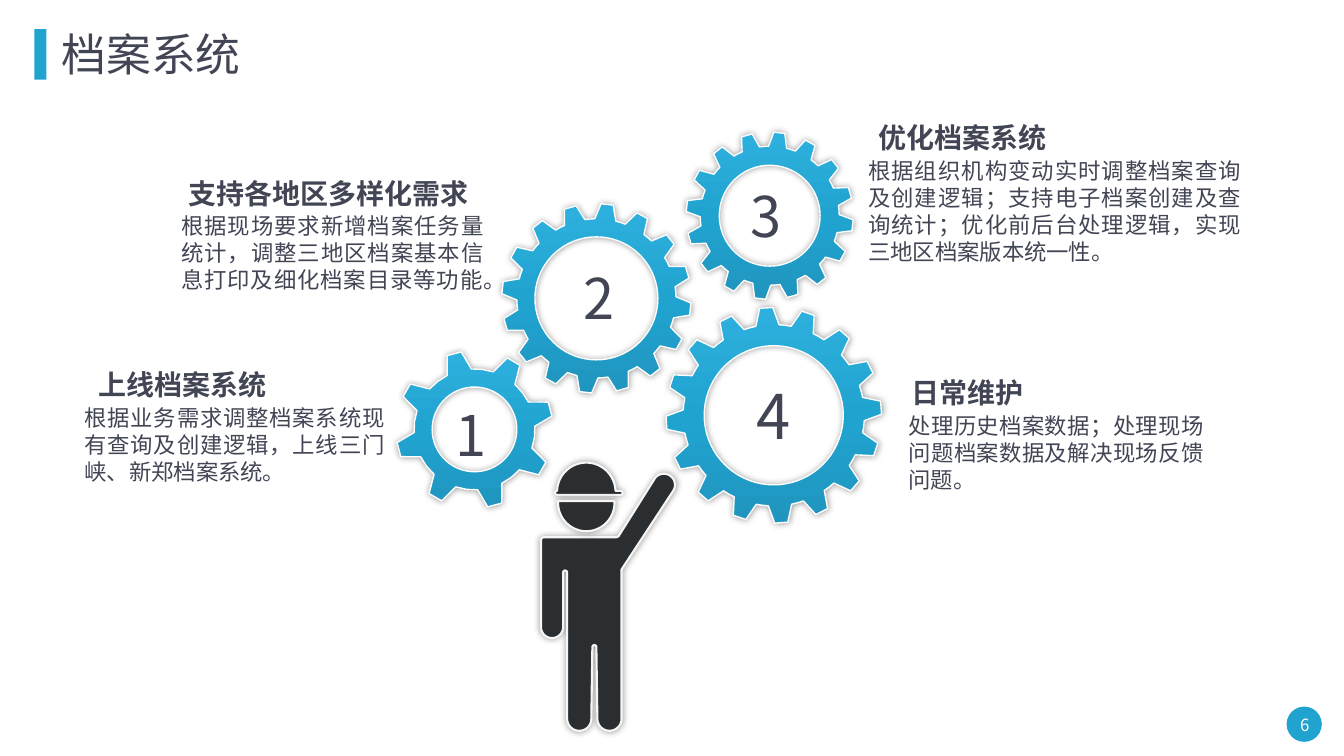
import copy
import math
from dataclasses import dataclass

from lxml import etree
from pptx import Presentation
from pptx.dml.color import RGBColor
from pptx.enum import shapes, text
from pptx.oxml import ns
from pptx.util import Inches, Pt

FONT = "Noto Sans CJK SC"
WHITE = RGBColor(0xFF, 0xFF, 0xFF)
BLUE = RGBColor(0x21, 0xA3, 0xD0)
DARK_BLUE = RGBColor(0x1F, 0x95, 0xBF)
LIGHT_BLUE = RGBColor(0x2E, 0xB0, 0xDE)
INK = RGBColor(0x42, 0x45, 0x54)
CHARCOAL = RGBColor(0x2B, 0x2E, 0x30)
OFF_WHITE = RGBColor(0xF6, 0xF6, 0xF6)

Point = tuple[float, float]
Box = tuple[float, float, float, float]


@dataclass
class Gear:
    center: Point
    tip_radius: float
    root_radius: float
    hole_radius: float
    teeth: int
    first_angle: float
    tip_half: float
    root_half: float
    number: str
    number_box: Box
    number_size: int = 40


@dataclass
class Topic:
    heading: str
    heading_box: Box
    body: str
    body_box: Box
    heading_wraps: bool = True


GEARS = [
    Gear((7.68, 4.12), 1.07, 0.9, 0.69, 16, -4, 3.5, 7.4, "4", (7.28, 3.7, 0.79, 0.84), 44),
    Gear((5.92, 2.96), 0.94, 0.79, 0.61, 16, 6.5, 3.7, 7.7, "2", (5.55, 2.57, 0.79, 0.77)),
    Gear((7.64, 2.14), 0.83, 0.69, 0.5, 16, 6.6, 3.8, 7.5, "3", (7.21, 1.75, 0.79, 0.77)),
    Gear((4.71, 4.26), 0.78, 0.6, 0.42, 8, -15, 5.3, 12, "1", (4.28, 3.92, 0.79, 0.77)),
]

TOPICS = [
    Topic("上线档案系统", (0.88, 3.6, 1.87, 0.44),
          "根据业务需求调整档案系统现有查询及创建逻辑，上线三门峡、新郑档案系统。",
          (0.74, 3.96, 3.18, 0.91), False),
    Topic("日常维护", (8.95, 3.68, 2.23, 0.44),
          "处理历史档案数据；处理现场问题档案数据及解决现场反馈问题。",
          (8.92, 4.04, 3.13, 0.91)),
    Topic("优化档案系统", (8.62, 1.15, 2.61, 0.44),
          "根据组织机构变动实时调整档案查询及创建逻辑；支持电子档案创建及查询统计；"
          "优化前后台处理逻辑，实现三地区档案版本统一性。",
          (8.52, 1.51, 3.9, 1.18)),
    Topic("支持各地区多样化需求", (1.77, 1.7, 2.98, 0.44),
          "根据现场要求新增档案任务量统计，调整三地区档案基本信息打印及细化档案目录等功能。",
          (1.7, 2.06, 3.2, 0.91), False),
]


def polar(center: Point, radius: float, degrees: float) -> Point:
    angle = math.radians(degrees)
    return center[0] + radius * math.cos(angle), center[1] + radius * math.sin(angle)


def arc(center: Point, radius: float, start: float, end: float) -> list[Point]:
    steps = max(2, round(abs(end - start) / 5))
    return [polar(center, radius, start + (end - start) * i / steps) for i in range(steps + 1)]


def add_outline(slide, contours: list[list[Point]]):
    emu = [[(Inches(x), Inches(y)) for x, y in contour] for contour in contours]
    builder = slide.shapes.build_freeform(*emu[0][0])
    builder.add_line_segments(emu[0][1:])
    for contour in emu[1:]:
        builder.move_to(*contour[0])
        builder.add_line_segments(contour[1:])
    return builder.convert_to_shape()


def add_edge(shape, color: RGBColor, width: float) -> None:
    shape.line.color.rgb = color
    shape.line.width = Pt(width)
    shape.shadow.inherit = False
    effects = shape._element.spPr.find(ns.qn("a:effectLst"))
    glow = etree.SubElement(effects, ns.qn("a:outerShdw"), blurRad=str(Pt(5)), dist="0", dir="0",
                            algn="ctr", rotWithShape="0")
    tint = etree.SubElement(glow, ns.qn("a:srgbClr"), val="000000")
    etree.SubElement(tint, ns.qn("a:alpha"), val="40000")


def add_gear(slide, gear: Gear) -> None:
    pitch = 360 / gear.teeth
    rim = []
    for tooth in range(gear.teeth):
        angle = gear.first_angle + tooth * pitch
        rim += [
            polar(gear.center, gear.root_radius, angle - gear.root_half),
            polar(gear.center, gear.tip_radius, angle - gear.tip_half),
            polar(gear.center, gear.tip_radius, angle + gear.tip_half),
            polar(gear.center, gear.root_radius, angle + gear.root_half),
            polar(gear.center, gear.root_radius, angle + pitch / 2),
        ]
    wheel = add_outline(slide, [rim, arc(gear.center, gear.hole_radius, 360, 0)])
    wheel.fill.gradient()
    wheel.fill.gradient_angle = 90
    stops = wheel._element.spPr.find(".//" + ns.qn("a:gsLst"))
    stops.append(copy.deepcopy(stops[-1]))
    shades = [(0, DARK_BLUE), (0.48, BLUE), (1, LIGHT_BLUE)]
    for stop, (position, color) in zip(wheel.fill.gradient_stops, shades):
        stop.position = position
        stop.color.rgb = color
    add_edge(wheel, WHITE, 1)


def add_worker(slide) -> None:
    helmet = (arc((5.82, 4.88), 0.29, 182, 358) + arc((6.16, 4.89), 0.02, 270, 450)
              + arc((5.53, 4.89), 0.02, 90, 270))
    body = ([(6.12, 5.33), (6.14, 5.32)]
            + arc((6.59, 4.81), 0.11, 211, 394)
            + [(6.17, 5.65)]
            + arc((6.05, 7.13), 0.12, 0, 180)
            + arc((5.9, 6.42), 0.02, 360, 180)
            + arc((5.75, 7.13), 0.12, 0, 180)
            + arc((5.61, 5.68), 0.02, 360, 180)
            + arc((5.48, 6.22), 0.11, 0, 180)
            + [(5.37, 5.35), (5.39, 5.33)])
    face = arc((5.82, 4.99), 0.28, -4, 184)
    parts = []
    for outline in (helmet, body, face):
        part = add_outline(slide, [outline])
        part.fill.solid()
        part.fill.fore_color.rgb = CHARCOAL
        add_edge(part, OFF_WHITE, 1.5)
        parts.append(part)
    slide.shapes.add_group_shape(parts)


def add_text(slide, wording: str, box: Box, size: int, color: RGBColor = INK, bold: bool = False,
             align=text.PP_ALIGN.LEFT, wrap: bool = True, inset: bool = True) -> None:
    frame = slide.shapes.add_textbox(*map(Inches, box)).text_frame
    frame.word_wrap = wrap
    frame.auto_size = text.MSO_AUTO_SIZE.SHAPE_TO_FIT_TEXT
    if not inset:
        frame.margin_left = frame.margin_right = frame.margin_top = frame.margin_bottom = 0
    frame.text = wording
    paragraph = frame.paragraphs[0]
    paragraph.alignment = align
    font = paragraph.runs[0].font
    font.size = Pt(size)
    font.bold = bold
    font.color.rgb = color
    font.name = FONT
    etree.SubElement(paragraph.runs[0]._r.rPr, ns.qn("a:ea"), typeface=FONT)


def add_block(slide, preset, box: Box) -> None:
    block = slide.shapes.add_shape(preset, *map(Inches, box))
    block.fill.solid()
    block.fill.fore_color.rgb = BLUE
    block.line.fill.background()
    block.shadow.inherit = False


def main() -> None:
    deck = Presentation()
    deck.slide_width = Inches(13.34)
    deck.slide_height = Inches(7.5)
    slide = deck.slides.add_slide(deck.slide_layouts[6])
    add_block(slide, shapes.MSO_SHAPE.OVAL, (12.77, 7.01, 0.35, 0.35))
    add_text(slide, "6", (12.74, 7.04, 0.42, 0.3), 12, WHITE,
             align=text.PP_ALIGN.CENTER, wrap=False)
    add_text(slide, "档案系统", (0.61, 0.27, 6.92, 0.54), 32, inset=False)
    add_block(slide, shapes.MSO_SHAPE.RECTANGLE, (0.34, 0.29, 0.12, 0.5))
    for topic in TOPICS:
        add_text(slide, topic.heading, topic.heading_box, 20, bold=True, wrap=topic.heading_wraps)
        add_text(slide, topic.body, topic.body_box, 16, align=text.PP_ALIGN.JUSTIFY)
    for gear in GEARS:
        add_gear(slide, gear)
    add_worker(slide)
    for gear in GEARS:
        add_text(slide, gear.number, gear.number_box, gear.number_size,
                 align=text.PP_ALIGN.CENTER)
    deck.save("out.pptx")


if __name__ == "__main__":
    main()
